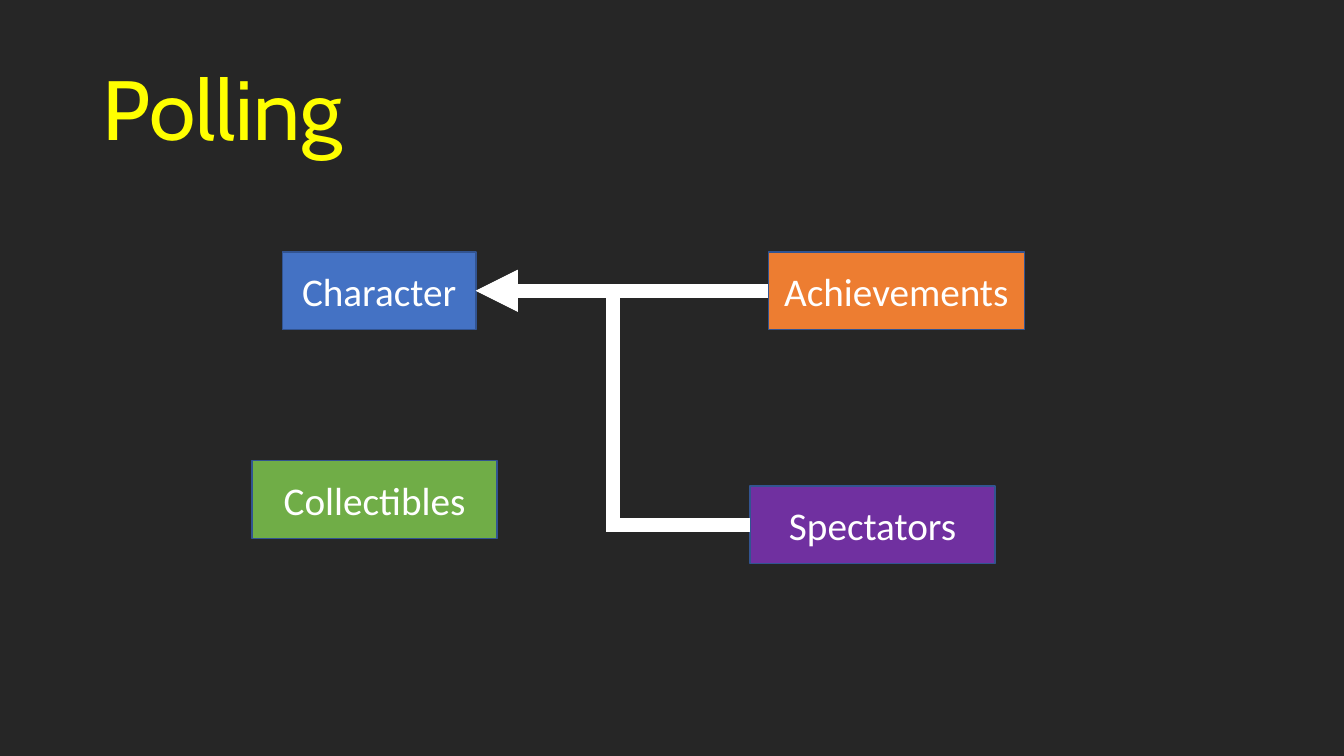
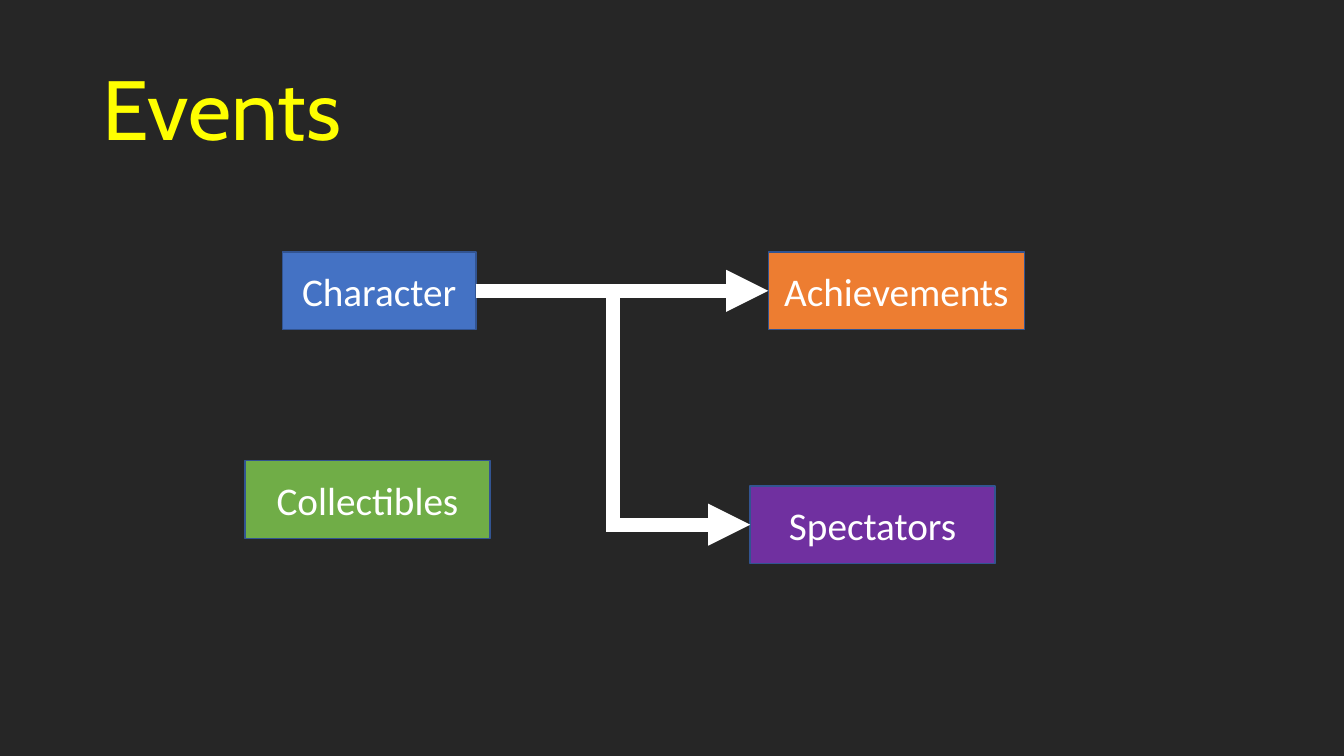
from pptx import Presentation
from pptx import util as u
from pptx.dml.color import RGBColor
from pptx.enum import shapes, text
from pptx.oxml import ns
from lxml import etree

COLORS = {
    "background": "262626",
    "title": "FFFF00",
    "white": "FFFFFF",
    "outline": "325491",
    "Character": "4472C4",
    "Achievements": "ED7D31",
    "Collectibles": "70AD47",
    "Spectators": "7030A0",
}
TITLE_FONT = {"name": "Cabin", "size": u.Pt(60)}
NODE_FONT = {"name": "Calibri", "size": u.Pt(28)}

# Left, top and width of each node; all share one height
NODE_HEIGHT = 0.77
NODES = {
    "Character": (2.8, 2.5, 1.92),
    "Achievements": (7.62, 2.5, 2.54),
    "Collectibles": (2.5, 4.57, 2.43),
    "Spectators": (7.44, 4.82, 2.43),
}
LEFT_SITE, RIGHT_SITE = 1, 3


def color(key):
    return RGBColor.from_string(COLORS[key])


def write(frame, words, font_values, font_color, **paragraph_values):
    """Put one formatted, vertically centred paragraph in a text frame."""
    frame.word_wrap = True
    frame.vertical_anchor = text.MSO_ANCHOR.MIDDLE
    paragraph = frame.paragraphs[0]
    for attribute, value in paragraph_values.items():
        setattr(paragraph, attribute, value)
    run = paragraph.add_run()
    run.text = words
    for attribute, value in font_values.items():
        setattr(run.font, attribute, value)
    run.font.color.rgb = color(font_color)


def add_titled_slide(deck, title):
    slide = deck.slides.add_slide(deck.slide_layouts[6])
    slide.background.fill.solid()
    slide.background.fill.fore_color.rgb = color("background")
    heading = slide.shapes.add_textbox(*map(u.Inches, (0.92, 0.4, 11.5, 1.45)))
    write(heading.text_frame, title, TITLE_FONT, "title", line_spacing=0.9)
    return slide


def add_node(slide, label, left, top, width):
    node = slide.shapes.add_shape(
        shapes.MSO_SHAPE.RECTANGLE,
        *map(u.Inches, (left, top, width, NODE_HEIGHT)))
    node.shadow.inherit = False
    node.fill.solid()
    node.fill.fore_color.rgb = color(label)
    node.line.color.rgb = color("outline")
    node.line.width = u.Pt(1)
    write(node.text_frame, label, NODE_FONT, "white",
          alignment=text.PP_ALIGN.CENTER)
    return node


def add_arrow(slide, kind, source, source_site, target, target_site):
    arrow = slide.shapes.add_connector(kind, 0, 0, 0, 0)
    arrow.begin_connect(source, source_site)
    arrow.end_connect(target, target_site)
    arrow.line.color.rgb = color("white")
    arrow.line.width = u.Pt(10)
    # Square corners, arrowhead and no shadow
    properties = arrow.element.spPr
    outline = properties.find(ns.qn("a:ln"))
    etree.SubElement(outline, ns.qn("a:miter"), lim="800000")
    etree.SubElement(outline, ns.qn("a:tailEnd"), type="triangle")
    etree.SubElement(properties, ns.qn("a:effectLst"))


def add_diagram(deck, title, to_character, collectibles_left):
    slide = add_titled_slide(deck, title)
    places = dict(NODES)
    places["Collectibles"] = (collectibles_left, *NODES["Collectibles"][1:])
    nodes = {label: add_node(slide, label, *place)
             for label, place in places.items()}

    # Links between the character and its listeners
    hub = (nodes["Character"], RIGHT_SITE)
    for label, kind in (("Spectators", shapes.MSO_CONNECTOR.ELBOW),
                        ("Achievements", shapes.MSO_CONNECTOR.STRAIGHT)):
        listener = (nodes[label], LEFT_SITE)
        ends = (listener, hub) if to_character else (hub, listener)
        add_arrow(slide, kind, *ends[0], *ends[1])


def main():
    deck = Presentation()
    deck.slide_width, deck.slide_height = u.Inches(13.33), u.Inches(7.5)
    add_diagram(deck, "Polling", to_character=True, collectibles_left=2.5)
    add_diagram(deck, "Events", to_character=False, collectibles_left=2.43)
    deck.save("out.pptx")


if __name__ == "__main__":
    main()
